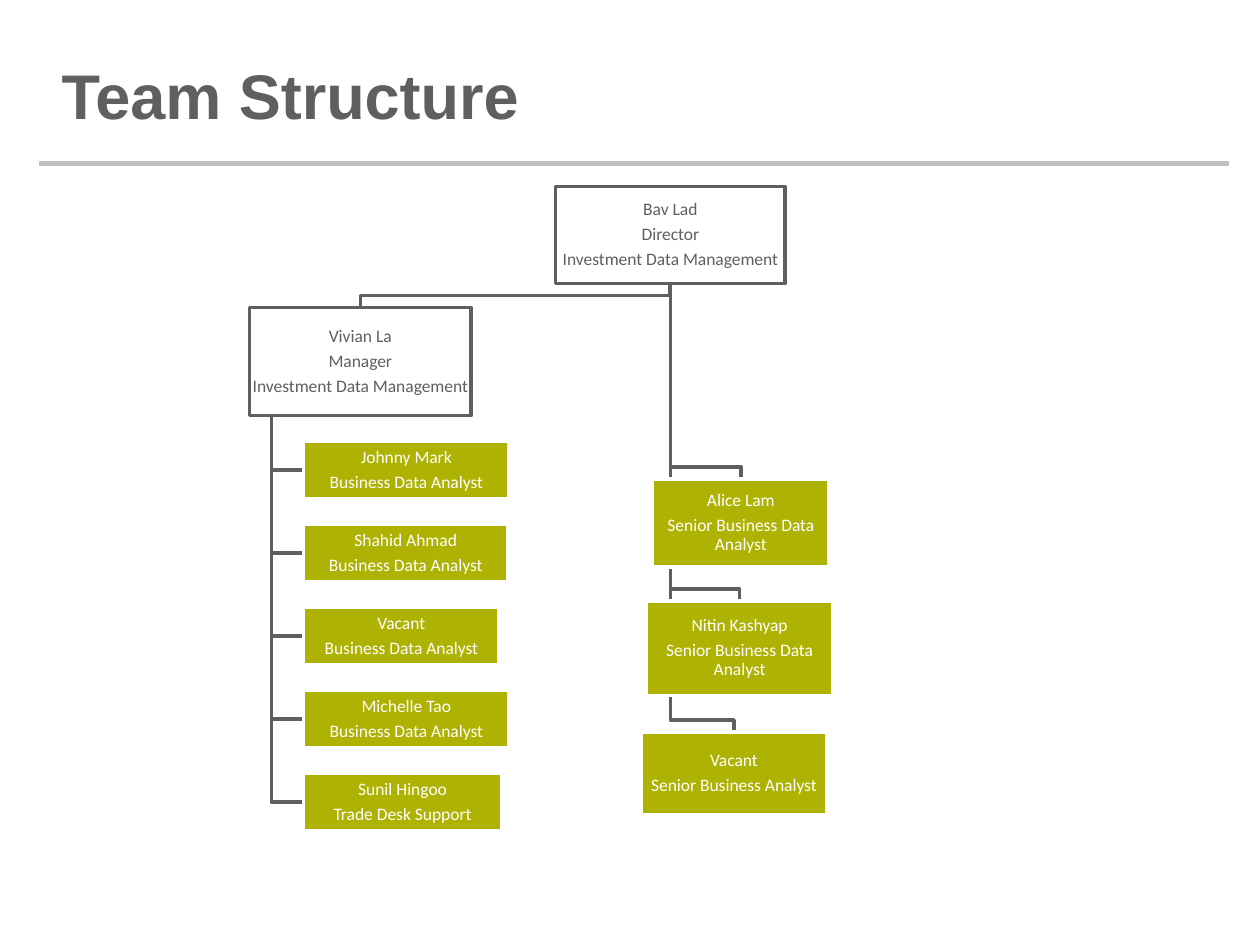
from dataclasses import dataclass

from lxml.etree import SubElement
from pptx import Presentation
from pptx.dml.color import RGBColor
from pptx.enum.shapes import MSO_CONNECTOR, MSO_SHAPE
from pptx.enum.text import MSO_ANCHOR, PP_ALIGN
from pptx.oxml.ns import qn
from pptx.shapes.autoshape import Shape
from pptx.slide import Slide
from pptx.util import Inches, Length, Pt

COLUMNS, ROWS = 100, 75
SLIDE_WIDTH, SLIDE_HEIGHT = Inches(10), Inches(7.5)


@dataclass(frozen=True)
class Theme:
    dark: RGBColor = RGBColor(0x5F, 0x5F, 0x5F)
    accent: RGBColor = RGBColor(0xAE, 0xB2, 0x02)
    white: RGBColor = RGBColor(0xFF, 0xFF, 0xFF)
    rule: RGBColor = RGBColor(0xBF, 0xBF, 0xBF)
    title_font: str = "Arial"
    body_font: str = "Calibri"
    title_size: Length = Pt(36)
    body_size: Length = Pt(10)
    paragraph_gap: Length = Pt(3.5)
    line_width: Length = Pt(2)
    rule_width: Length = Pt(3)


@dataclass(frozen=True)
class Member:
    """A box of the chart, placed in grid columns and rows."""
    left: float
    top: float
    width: float
    height: float
    lines: tuple[str, ...]
    filled: bool = True

    @property
    def center(self) -> float:
        return self.left + self.width / 2

    @property
    def middle(self) -> float:
        return self.top + self.height / 2

    @property
    def bottom(self) -> float:
        return self.top + self.height


THEME = Theme()
DIRECTOR = Member(44.1, 14.8, 18.2, 7.7,
                  ("Bav Lad", "Director", "Investment Data Management"), False)
MANAGER = Member(19.8, 24.4, 17.6, 8.6,
                 ("Vivian La", "Manager", "Investment Data Management"), False)
ANALYST_LEFT, ANALYST_TOP, ANALYST_HEIGHT, ANALYST_PITCH = 24.1, 35, 4.6, 6.59
ANALYSTS = [
    Member(ANALYST_LEFT, ANALYST_TOP + index * ANALYST_PITCH, width, ANALYST_HEIGHT, (name, role))
    for index, (width, name, role) in enumerate([
        (16.3, "Johnny Mark", "Business Data Analyst"),
        (16.2, "Shahid Ahmad", "Business Data Analyst"),
        (15.5, "Vacant", "Business Data Analyst"),
        (16.3, "Michelle Tao", "Business Data Analyst"),
        (15.7, "Sunil Hingoo", "Trade Desk Support"),
    ])
]
SENIORS = [
    Member(51.8, 38, 14, 7, ("Alice Lam", "Senior Business Data Analyst")),
    Member(51.3, 47.7, 14.8, 7.5, ("Nitin Kashyap", "Senior Business Data Analyst")),
    Member(50.9, 58.1, 14.7, 6.6, ("Vacant", "Senior Business Analyst")),
]


def column(count: float) -> Length:
    return Length(round(SLIDE_WIDTH * count / COLUMNS))


def row(count: float) -> Length:
    return Length(round(SLIDE_HEIGHT * count / ROWS))


def add_title(slide: Slide, text: str) -> None:
    box = slide.shapes.add_textbox(column(3.9), row(1.2), column(96.1), row(12.5))
    frame = box.text_frame
    frame.word_wrap = True
    frame.vertical_anchor = MSO_ANCHOR.MIDDLE
    run = frame.paragraphs[0].add_run()
    run.text = text
    run.font.name = THEME.title_font
    run.font.size = THEME.title_size
    run.font.bold = True
    run.font.color.rgb = THEME.dark


def add_rule(slide: Slide) -> None:
    rule = slide.shapes.add_connector(
        MSO_CONNECTOR.STRAIGHT, column(3.1), row(13), column(97.5), row(13))
    rule.line.color.rgb = THEME.rule
    rule.line.width = THEME.rule_width
    SubElement(rule._element.spPr, qn("a:effectLst"))


def style_outline(shape: Shape, color: RGBColor) -> None:
    shape.shadow.inherit = False
    shape.line.color.rgb = color
    shape.line.width = THEME.line_width


def add_branch(slide: Slide, points: list[tuple[float, float]]) -> None:
    """Draw an open elbow line through grid points."""
    corners = [(column(x), row(y)) for x, y in points]
    builder = slide.shapes.build_freeform(*corners[0])
    builder.add_line_segments(corners[1:], close=False)
    branch = builder.convert_to_shape()
    branch.fill.background()
    style_outline(branch, THEME.dark)


def add_drop_branch(slide: Slide, parent: Member, child: Member) -> None:
    """Go down from the parent, sideways just above the child, then into its top."""
    turn = child.top - 0.95
    add_branch(slide, [(parent.center, parent.bottom), (parent.center, turn),
                       (child.center, turn), (child.center, child.top)])


def add_side_branch(slide: Slide, parent: Member, child: Member) -> None:
    """Go down from near the parent's left edge, then into the child's left side."""
    trunk = parent.left + parent.width / 10
    add_branch(slide, [(trunk, parent.bottom), (trunk, child.middle),
                       (child.left, child.middle)])


def add_member(slide: Slide, member: Member) -> None:
    box = slide.shapes.add_shape(MSO_SHAPE.RECTANGLE, column(member.left), row(member.top),
                                 column(member.width), row(member.height))
    if member.filled:
        box.fill.solid()
        box.fill.fore_color.rgb = THEME.accent
    else:
        box.fill.background()
    style_outline(box, THEME.white if member.filled else THEME.dark)

    frame = box.text_frame
    frame.word_wrap = True
    frame.vertical_anchor = MSO_ANCHOR.MIDDLE
    frame.margin_left = frame.margin_right = column(0.1)
    frame.margin_top = frame.margin_bottom = row(0.1)
    for index, text in enumerate(member.lines):
        paragraph = frame.add_paragraph() if index else frame.paragraphs[0]
        paragraph.alignment = PP_ALIGN.CENTER
        paragraph.line_spacing = 0.9
        paragraph.space_after = THEME.paragraph_gap
        run = paragraph.add_run()
        run.text = text
        run.font.name = THEME.body_font
        run.font.size = THEME.body_size
        run.font.color.rgb = THEME.white if member.filled else THEME.dark


def main() -> None:
    presentation = Presentation()
    presentation.slide_width, presentation.slide_height = SLIDE_WIDTH, SLIDE_HEIGHT
    slide = presentation.slides.add_slide(presentation.slide_layouts[6])
    add_rule(slide)
    add_title(slide, "Team Structure")
    for senior in reversed(SENIORS):
        add_drop_branch(slide, DIRECTOR, senior)
    for analyst in reversed(ANALYSTS):
        add_side_branch(slide, MANAGER, analyst)
    add_drop_branch(slide, DIRECTOR, MANAGER)
    for member in [DIRECTOR, MANAGER, *ANALYSTS, *SENIORS]:
        add_member(slide, member)
    presentation.save("out.pptx")


if __name__ == "__main__":
    main()
